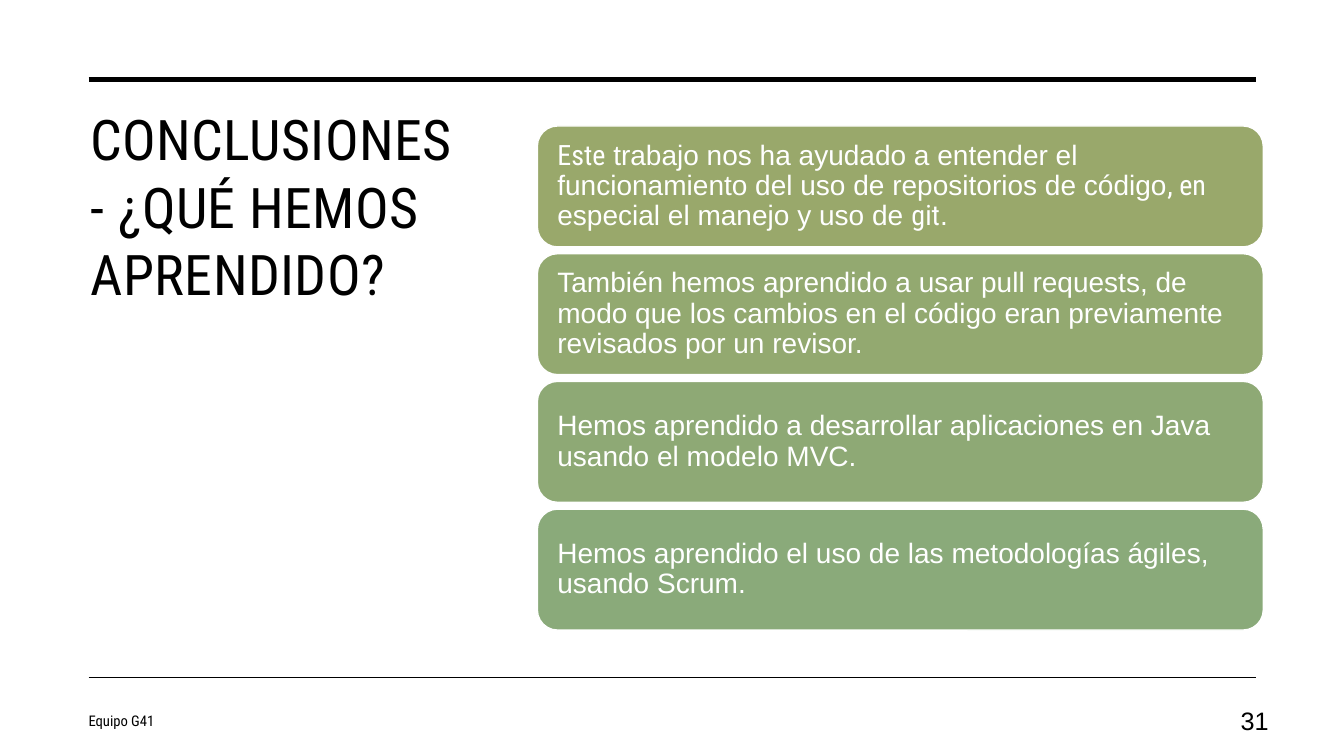
from dataclasses import dataclass

from lxml.etree import SubElement
from pptx import Presentation
from pptx.dml.color import RGBColor
from pptx.enum.shapes import MSO_CONNECTOR, MSO_SHAPE
from pptx.enum.text import MSO_ANCHOR, MSO_AUTO_SIZE, PP_ALIGN
from pptx.oxml.ns import qn
from pptx.util import Inches, Pt


@dataclass(frozen=True)
class Theme:
    black: str = "000000"
    white: str = "FFFFFF"
    cards: tuple = ("99A86B", "93A970", "8EA975", "8AAA7A")
    condensed: str = "Roboto Condensed"
    sans: str = "Arial"
    title: float = 40
    body: float = 20
    number: float = 18
    footer: float = 10.5


THEME = Theme()

# Each card is a list of (text, font) runs.
CARDS = [
    [
        ("Este", THEME.condensed),
        (" trabajo nos ha ayudado a entender el funcionamiento del uso de "
         "repositorios de código", THEME.sans),
        (", en", THEME.condensed),
        (" especial el manejo y uso de ", THEME.sans),
        ("git", THEME.condensed),
        (".", THEME.sans),
    ],
    [("También hemos aprendido a usar pull requests, de modo que los cambios "
      "en el código eran previamente revisados por un revisor.", THEME.sans)],
    [("Hemos aprendido a desarrollar aplicaciones en Java usando el modelo "
      "MVC.", THEME.sans)],
    [("Hemos aprendido el uso de las metodologías ágiles, usando Scrum.",
      THEME.sans)],
]
CARD_LEFT, CARD_TOP, CARD_WIDTH, CARD_HEIGHT = 5.33, 1.25, 7.2, 1.2
CARD_PITCH = 1.267
CARD_INSET = 0.14


def rgb(color):
    return RGBColor.from_string(color)


def format_run(r, font, size, color):
    r.font.name = font
    r.font.size = Pt(size)
    r.font.color.rgb = rgb(color)


def set_title(slide, text):
    sp = slide.shapes.title
    sp.left, sp.top = Inches(0.8), Inches(0.99)
    sp.width, sp.height = Inches(4), Inches(4.82)
    tf = sp.text_frame
    tf.text = text
    tf.word_wrap = True
    tf.auto_size = MSO_AUTO_SIZE.NONE
    tf.vertical_anchor = MSO_ANCHOR.TOP
    p = tf.paragraphs[0]
    p.alignment = PP_ALIGN.LEFT
    r = p.runs[0]
    format_run(r, THEME.condensed, THEME.title, THEME.black)
    r.font._element.set("spc", "30")


def add_rule(slide, y, weight):
    line = slide.shapes.add_connector(
        MSO_CONNECTOR.STRAIGHT, Inches(0.88), Inches(y), Inches(12.46), Inches(y))
    line.line.color.rgb = rgb(THEME.black)
    line.line.width = Pt(weight)
    SubElement(line._element.spPr, qn("a:effectLst"))


def add_footer_text(slide, text, left, width, font, size, align):
    box = slide.shapes.add_textbox(
        Inches(left), Inches(6.95), Inches(width), Inches(0.4))
    tf = box.text_frame
    tf.text = text
    tf.word_wrap = True
    tf.vertical_anchor = MSO_ANCHOR.MIDDLE
    p = tf.paragraphs[0]
    p.alignment = align
    format_run(p.runs[0], font, size, THEME.black)


def add_card(slide, top, fill, runs):
    sp = slide.shapes.add_shape(
        MSO_SHAPE.ROUNDED_RECTANGLE, Inches(CARD_LEFT), Inches(top),
        Inches(CARD_WIDTH), Inches(CARD_HEIGHT))
    sp.shadow.inherit = False
    sp.fill.solid()
    sp.fill.fore_color.rgb = rgb(fill)
    sp.line.color.rgb = rgb(THEME.white)
    sp.line.width = Pt(1)
    tf = sp.text_frame
    tf.word_wrap = True
    tf.vertical_anchor = MSO_ANCHOR.MIDDLE
    tf.margin_left = tf.margin_right = Inches(CARD_INSET)
    tf.margin_top = tf.margin_bottom = Inches(CARD_INSET)
    p = tf.paragraphs[0]
    p.alignment = PP_ALIGN.LEFT
    p.line_spacing = 0.9
    for text, font in runs:
        r = p.add_run()
        r.text = text
        format_run(r, font, THEME.body, THEME.white)


def main():
    prs = Presentation()
    prs.slide_width, prs.slide_height = Inches(13.33), Inches(7.5)
    slide = prs.slides.add_slide(prs.slide_layouts.get_by_name("Title Only"))

    set_title(slide, "CONCLUSIONES - ¿QUÉ HEMOS APRENDIDO?")
    add_rule(slide, 0.79, 3.5)
    add_rule(slide, 6.72, 1)
    add_footer_text(slide, "Equipo G41", 0.78, 4.96,
                    THEME.condensed, THEME.footer, PP_ALIGN.LEFT)
    add_footer_text(slide, "31", 11.94, 0.74,
                    THEME.sans, THEME.number, PP_ALIGN.RIGHT)
    for i, (fill, runs) in enumerate(zip(THEME.cards, CARDS)):
        add_card(slide, CARD_TOP + i * CARD_PITCH, fill, runs)

    prs.save("out.pptx")


if __name__ == "__main__":
    main()
